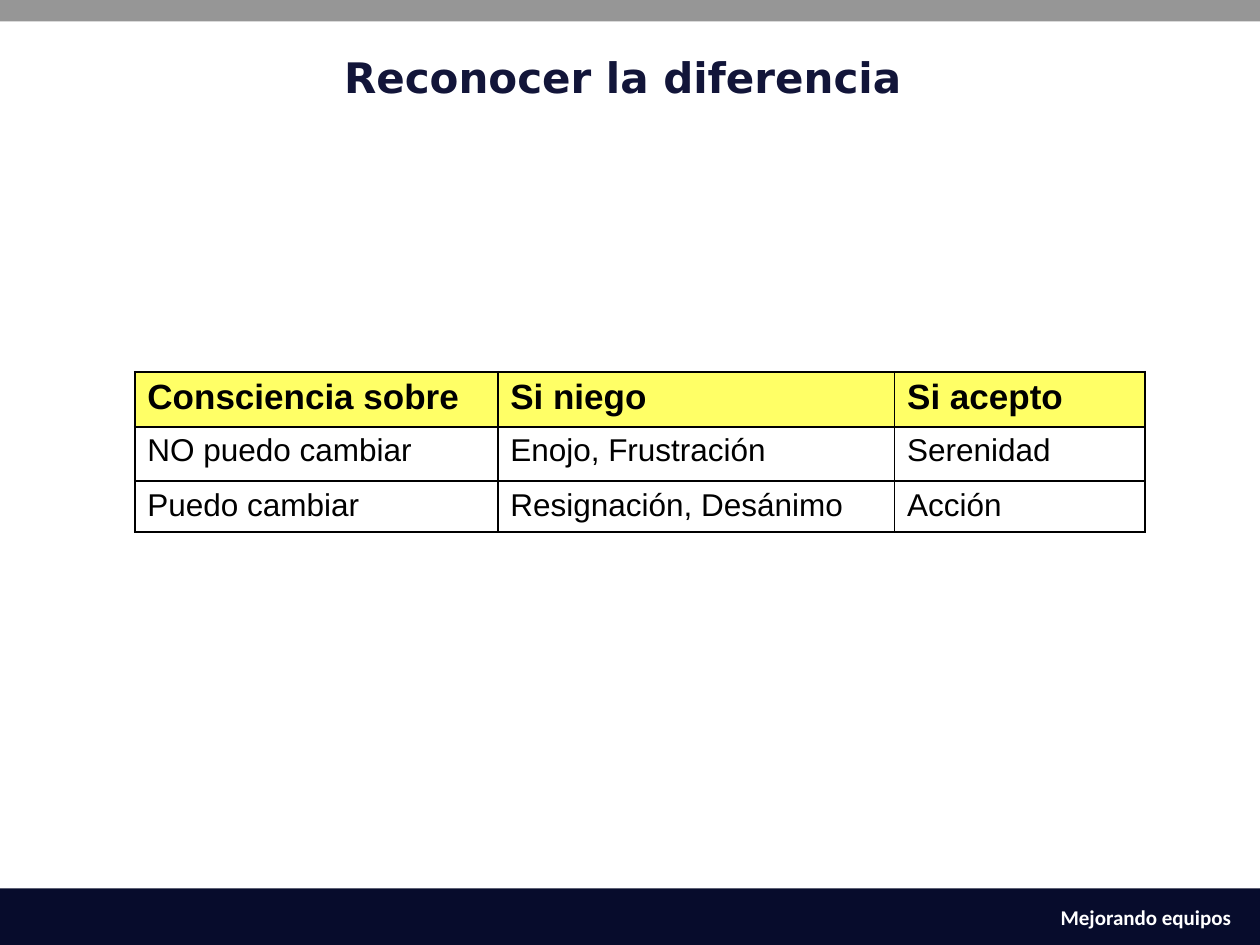
from dataclasses import dataclass

from lxml import etree
from pptx import Presentation
from pptx.dml.color import RGBColor
from pptx.enum.shapes import MSO_SHAPE
from pptx.enum.text import MSO_ANCHOR, PP_ALIGN
from pptx.oxml.ns import qn
from pptx.util import Inches, Pt

RECTANGLE = MSO_SHAPE.RECTANGLE
TOP = MSO_ANCHOR.TOP
LEFT, CENTER, RIGHT = PP_ALIGN.LEFT, PP_ALIGN.CENTER, PP_ALIGN.RIGHT


@dataclass(frozen=True)
class Theme:
    navy: str = "070C2C"
    gray: str = "969696"
    ink: str = "121539"
    black: str = "000000"
    white: str = "FFFFFF"
    yellow: str = "FFFF66"
    title_size: int = 24
    header_size: int = 20
    body_size: int = 18
    footer_size: int = 12
    border: float = 1.08
    title_font: str = "DejaVu Sans"
    body_font: str = "Arial"
    footer_font: str = "Calibri"


THEME = Theme()
WIDTH, HEIGHT = 10, 7.5
TITLE = "Reconocer la diferencia "
FOOTER = "Mejorando equipos"
ROWS = [
    ("Consciencia sobre", "Si niego", "Si acepto"),
    ("NO puedo cambiar", "Enojo, Frustración", "Serenidad"),
    ("Puedo cambiar", "Resignación, Desánimo", "Acción"),
]
COLUMN_WIDTHS = (2.88, 3.15, 1.99)
ROW_HEIGHTS = (0.44, 0.43, 0.4)
TABLE_LEFT, TABLE_TOP = 1.07, 2.95
TOP_BAND, BOTTOM_BAND = 0.17, 0.45


def color(value):
    return RGBColor.from_string(value)


def write(frame, text, *, size, font, ink, bold=False, align=LEFT):
    frame.word_wrap = True
    frame.vertical_anchor = TOP
    para = frame.paragraphs[0]
    para.alignment = align
    para.space_before = Pt(0)
    span = para.add_run()
    span.text = text
    span.font.size = Pt(size)
    span.font.name = font
    span.font.bold = bold
    span.font.color.rgb = color(ink)


def add_band(page, top, height, fill):
    band = page.shapes.add_shape(
        RECTANGLE, 0, Inches(top), Inches(WIDTH), Inches(height))
    band.shadow.inherit = False
    band.fill.solid()
    band.fill.fore_color.rgb = color(fill)
    band.line.fill.background()


def add_borders(cell):
    properties = cell._tc.get_or_add_tcPr()
    for index, side in enumerate(("a:lnL", "a:lnR", "a:lnT", "a:lnB")):
        line = etree.Element(qn(side), w=str(int(Pt(THEME.border))))
        fill = etree.SubElement(line, qn("a:solidFill"))
        etree.SubElement(fill, qn("a:srgbClr"), val=THEME.black)
        properties.insert(index, line)


def add_comparison(page):
    table = page.shapes.add_table(
        len(ROWS), len(COLUMN_WIDTHS), Inches(TABLE_LEFT), Inches(TABLE_TOP),
        Inches(sum(COLUMN_WIDTHS)), Inches(sum(ROW_HEIGHTS))).table
    for column, width in zip(table.columns, COLUMN_WIDTHS):
        column.width = Inches(width)
    for row, height, texts in zip(table.rows, ROW_HEIGHTS, ROWS):
        row.height = Inches(height)
        header = texts is ROWS[0]
        for cell, text in zip(row.cells, texts):
            cell.fill.solid()
            cell.fill.fore_color.rgb = color(
                THEME.yellow if header else THEME.white)
            add_borders(cell)
            write(cell.text_frame, text, font=THEME.body_font,
                  size=THEME.header_size if header else THEME.body_size,
                  ink=THEME.black, bold=header)


def main():
    deck = Presentation()
    deck.slide_width, deck.slide_height = Inches(WIDTH), Inches(HEIGHT)
    page = deck.slides.add_slide(deck.slide_layouts[5])

    add_band(page, HEIGHT - BOTTOM_BAND, BOTTOM_BAND, THEME.navy)
    footer = page.shapes.add_textbox(
        Inches(3.22), Inches(7.13), Inches(6.65), Inches(0.3))
    write(footer.text_frame, FOOTER, size=THEME.footer_size,
          font=THEME.footer_font, ink=THEME.white, bold=True, align=RIGHT)
    add_band(page, 0, TOP_BAND, THEME.gray)

    title = page.shapes.title
    title.left, title.top = 0, Inches(0.36)
    title.width, title.height = Inches(WIDTH), Inches(0.5)
    write(title.text_frame, TITLE, size=THEME.title_size,
          font=THEME.title_font, ink=THEME.ink, bold=True, align=CENTER)

    add_comparison(page)
    deck.save("out.pptx")


if __name__ == "__main__":
    main()
